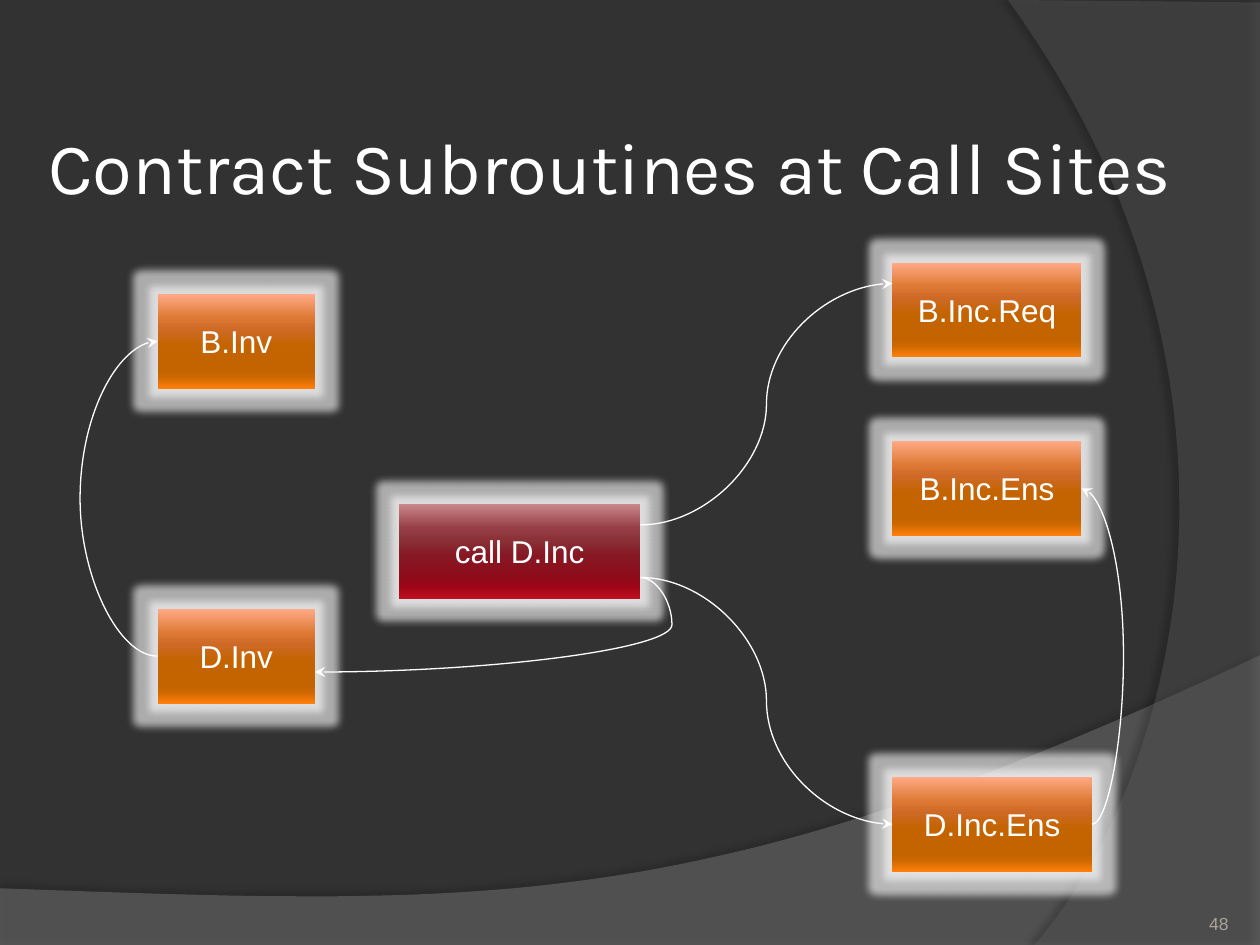
from pptx import Presentation, util as u
from pptx.dml.color import RGBColor
from pptx.enum import shapes as sh, text as tx
from pptx.oxml import parse_xml
from pptx.oxml.ns import qn

NS = 'xmlns:a="http://schemas.openxmlformats.org/drawingml/2006/main"'
INK = {"back": "323232", "white": "FFFFFF", "note": "A8A49B",
       "wave": "7F7F7F", "arc": "5E5E5E", "shade": "000000"}
STOPS = (0, 25, 38, 55, 80, 88, 100)
RAMP = {
    "red": "CA888B 973F46 8A3238 861723 900B1A 9F0516 BF0F21".split(),
    "gold": "FFAA86 DE7A35 CD6924 C36400 C26300 CC6800 FF7F0A".split(),
}

deck = Presentation()
deck.slide_width, deck.slide_height = u.Inches(10), u.Inches(7.5)
UNIT = deck.slide_width / 120  # the slide is a grid of 120 columns by 90 rows
slide = deck.slides.add_slide(deck.slide_layouts[6])
slide.background.fill.solid()
slide.background.fill.fore_color.rgb = RGBColor.from_string(INK["back"])
items = slide.shapes


def write(shape, words, size, font, ink, align, anchor, inset):
    """Put one line of text into a shape."""
    frame = shape.text_frame
    frame.word_wrap = True
    frame.vertical_anchor = anchor
    frame.margin_left = frame.margin_right = u.Inches(inset)
    frame.margin_top = frame.margin_bottom = u.Inches(inset)
    para = frame.paragraphs[0]
    para.alignment = align
    run = para.add_run()
    run.text = words
    run.font.size, run.font.name = u.Pt(size), font
    run.font.color.rgb = RGBColor.from_string(INK[ink])


def link(x1, y1, x2, y2, bend):
    """Draw a curved arrow whose middle lies on the column bend."""
    line = items.add_connector(sh.MSO_CONNECTOR.CURVE,
                               *(round(v * UNIT) for v in (x1, y1, x2, y2)))
    line.line.width = u.Pt(0.75)
    line.line.color.rgb = RGBColor.from_string(INK["white"])
    props = line._element.spPr
    share = round((bend - x1) / (x2 - x1) * 100000)
    guides = props.find(qn("a:prstGeom")).get_or_add_avLst()
    guides.append(parse_xml(f'<a:gd {NS} name="adj1" fmla="val {share}"/>'))
    props.find(qn("a:ln")).append(
        parse_xml(f'<a:tailEnd {NS} type="stealth"/>'))
    props.append(parse_xml(f'<a:effectLst {NS}/>'))


# Backdrop: a start point, straight corners and one curve each, in inches
# (ink, corners, curve, opacity, shadow opacity, shadow distance, shadow angle)
BACKDROP = [
    ("wave", [(0, 7.05), (0, 7.51), (10, 7.51), (10, 5.2)],
     [(5.59, 7.29), (3.91, 7.19), (0, 7.05)], 45, 35, 3.5, 270),
    ("arc", [(8, 0), (10, 0.02), (10, 7.5), (8.21, 7.5)],
     [(9.35, 6.19), (10.18, 3), (8, 0)], 40, 45, 4, 180),
]
for ink, edge, curve, alpha, dark, far, turn in BACKDROP:
    knots = [edge[-1]] + curve
    bow = []
    for step in range(1, 60):
        t = step / 60
        parts = ((1 - t) ** 3, 3 * t * (1 - t) ** 2, 3 * t * t * (1 - t), t ** 3)
        bow.append(tuple(sum(p * k[i] for p, k in zip(parts, knots))
                         for i in (0, 1)))
    pen = items.build_freeform(*edge[0], scale=u.Inches(1))
    pen = items.build_freeform(*(round(v * 1000) for v in edge[0]),
                               scale=u.Inches(1) / 1000)
    pen.add_line_segments([(x * 1000, y * 1000) for x, y in edge[1:] + bow])
    form = pen.convert_to_shape()
    form.line.fill.background()
    form.fill.solid()
    form.fill.fore_color.rgb = RGBColor.from_string(INK[ink])
    props = form._element.spPr
    props.find(qn("a:solidFill"))[0].append(
        parse_xml(f'<a:alpha {NS} val="{alpha * 1000}"/>'))
    props.append(parse_xml(
        f'<a:effectLst {NS}><a:outerShdw blurRad="{u.Pt(4)}" '
        f'dist="{u.Pt(far)}" dir="{turn * 60000}"><a:srgbClr '
        f'val="{INK["shade"]}"><a:alpha val="{dark * 1000}"/></a:srgbClr>'
        f'</a:outerShdw></a:effectLst>'))

title = items.add_textbox(*(round(v * UNIT) for v in (4, 12, 112, 7.5)))
write(title, "Contract Subroutines at Call Sites", 41.4, "Karla", "white",
      tx.PP_ALIGN.LEFT, tx.MSO_ANCHOR.MIDDLE, 0.05)
page = items.add_textbox(*(round(v * UNIT) for v in (107, 84.2, 10, 4.8)))
write(page, "48", 10, "Arial", "note",
      tx.PP_ALIGN.RIGHT, tx.MSO_ANCHOR.BOTTOM, 0)

# Call site and contract boxes: words, column, row, columns wide, ramp
BOXES = [
    ("call D.Inc", 38, 48, 23, "red"),
    ("B.Inv", 15, 28, 15, "gold"),
    ("B.Inc.Req", 85, 25, 18, "gold"),
    ("B.Inc.Ens", 85, 42, 18, "gold"),
    ("D.Inv", 15, 58, 15, "gold"),
    ("D.Inc.Ens", 85, 74, 19, "gold"),
]
for words, col, row, wide, ramp in BOXES:
    box = items.add_shape(sh.MSO_SHAPE.RECTANGLE,
                          *(round(v * UNIT) for v in (col, row, wide, 9)))
    box.line.fill.background()
    box.fill.gradient()
    box.fill.gradient_angle = 270
    props = box._element.spPr
    stops = props.find(qn("a:gradFill")).find(qn("a:gsLst"))
    for old in list(stops):
        stops.remove(old)
    for spot, tone in zip(STOPS, RAMP[ramp]):
        stops.append(parse_xml(f'<a:gs {NS} pos="{spot * 1000}">'
                               f'<a:srgbClr val="{tone}"/></a:gs>'))
    props.append(parse_xml(
        f'<a:effectLst {NS}><a:glow rad="{u.Pt(9)}"><a:srgbClr '
        f'val="{INK["white"]}"><a:alpha val="60000"/></a:srgbClr>'
        f'</a:glow></a:effectLst>'))
    write(box, words, 18, "Arial", "white",
          tx.PP_ALIGN.CENTER, tx.MSO_ANCHOR.MIDDLE, 0.05)

# Calls: from column and row, to column and row, column of the bend
LINKS = [
    (61, 55, 85, 78.5, 73),
    (61, 50, 85, 27, 73),
    (61, 55, 30, 64, 64),
    (15, 62.5, 15.02, 32.5, 7.2),
    (104, 78.5, 103, 46.5, 107),
]
for ends in LINKS:
    link(*ends)

deck.save("out.pptx")
